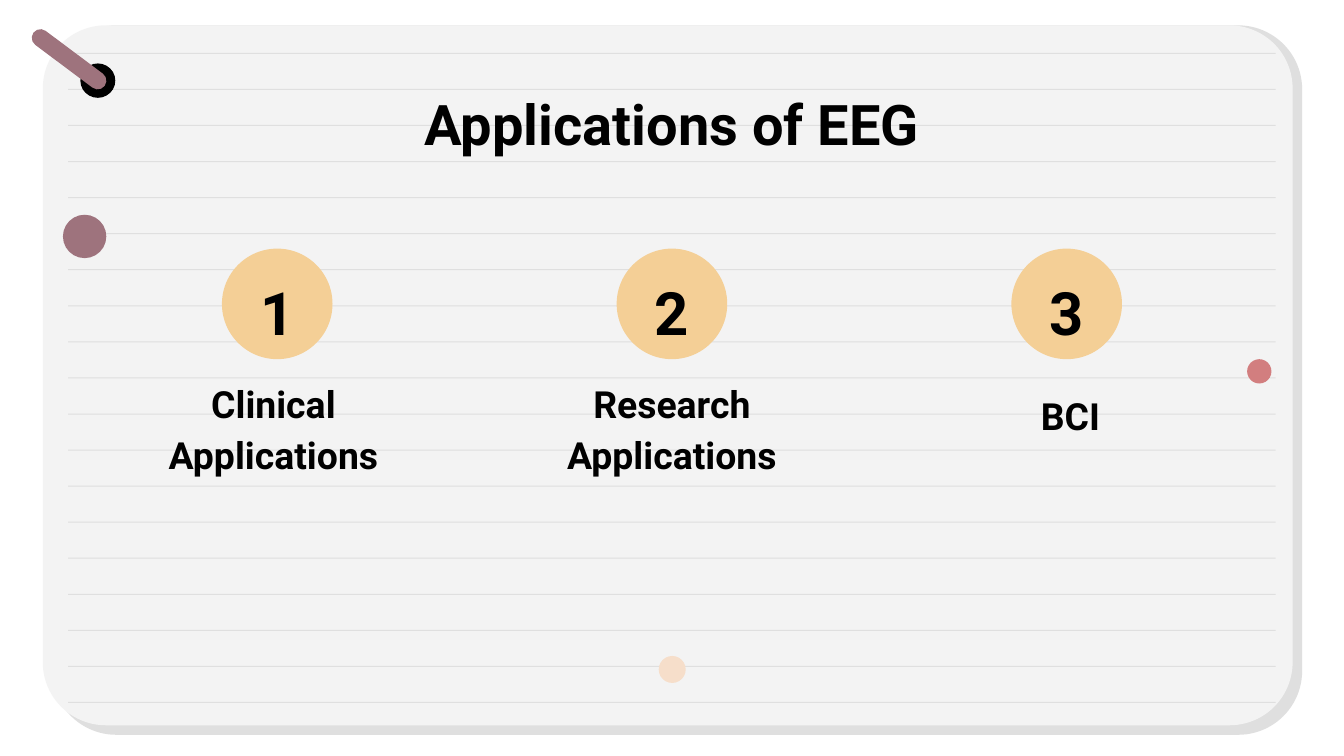
from typing import NamedTuple

from pptx import Presentation
from pptx.dml.color import RGBColor
from pptx.enum import shapes, text
from pptx.util import Cm, Pt

BLACK = RGBColor(0x00, 0x00, 0x00)
PAPER = RGBColor(0xF3, 0xF3, 0xF3)
GREY = RGBColor(0xDF, 0xDF, 0xDF)
MAUVE = RGBColor(0x9E, 0x73, 0x7D)
ROSE = RGBColor(0xD2, 0x7E, 0x7F)
PEACH = RGBColor(0xF6, 0xDE, 0xCA)
AMBER = RGBColor(0xF4, 0xCF, 0x96)

SHAPE = shapes.MSO_SHAPE
ANCHOR = text.MSO_ANCHOR
FONT = "Roboto"
MIDDLE = 12.7  # horizontal centre of the slide, cm


class Box(NamedTuple):
    """Position and size in centimetres."""
    left: float
    top: float
    width: float
    height: float


class Dot(NamedTuple):
    box: Box
    color: RGBColor


class Application(NamedTuple):
    name: str
    caption_top: float


RULE_COUNT, FIRST_RULE, LAST_RULE = 19, 1.0, 13.27
RULE_STEP = (LAST_RULE - FIRST_RULE) / (RULE_COUNT - 1)

DOTS = [
    Dot(Box(1.52, 1.2, 0.66, 0.65), BLACK),
    Dot(Box(23.57, 6.79, 0.46, 0.46), ROSE),
    Dot(Box(1.19, 4.06, 0.82, 0.82), MAUVE),
    Dot(Box(12.45, 12.4, 0.51, 0.51), PEACH),
]

APPLICATIONS = [
    Application("Clinical Applications", 8.23),
    Application("Research Applications", 8.23),
    Application("BCI", 7.49),
]
BADGE_PITCH, CAPTION_PITCH = 7.46, 7.53


def centred(offset: float, top: float, width: float, height: float) -> Box:
    """Box whose centre lies offset cm to the right of the slide's middle."""
    return Box(MIDDLE + offset - width / 2, top, width, height)


def add_filled(s, kind, box: Box, color: RGBColor, adjustments=()):
    sp = s.shapes.add_shape(kind, *map(Cm, box))
    for i, value in enumerate(adjustments):
        sp.adjustments[i] = value
    sp.shadow.inherit = False
    sp.fill.solid()
    sp.fill.fore_color.rgb = color
    sp.line.fill.background()
    return sp


def add_label(s, box: Box, words: str, size: float, anchor, spacing: float = 1.0) -> None:
    tf = s.shapes.add_textbox(*map(Cm, box)).text_frame
    tf.word_wrap = True
    tf.vertical_anchor = anchor
    tf.margin_left = tf.margin_right = tf.margin_top = tf.margin_bottom = Cm(0.25)
    tf.text = words
    p = tf.paragraphs[0]
    p.alignment = text.PP_ALIGN.CENTER
    p.line_spacing = spacing
    font = p.runs[0].font
    font.name, font.size, font.bold = FONT, Pt(size), True
    font.color.rgb = BLACK


def add_notepaper(s) -> None:
    add_filled(s, SHAPE.ROUNDED_RECTANGLE, Box(0.99, 0.48, 23.62, 13.41), GREY, [0.09])
    add_filled(s, SHAPE.ROUNDED_RECTANGLE, Box(0.81, 0.48, 23.62, 13.23), PAPER, [0.09])
    for i in range(RULE_COUNT):
        rule = Box(1.29, FIRST_RULE + i * RULE_STEP, 22.82, 0.02)
        add_filled(s, SHAPE.RECTANGLE, rule, GREY)
    for dot in DOTS:
        add_filled(s, SHAPE.OVAL, dot.box, dot.color)
    pin = add_filled(s, SHAPE.ROUND_2_SAME_RECTANGLE, Box(1.14, 0.28, 0.33, 1.68),
                     MAUVE, [0.5, 0.5])
    pin.rotation = 306.8


def add_application(s, index: int, item: Application) -> None:
    column = index - 1
    badge = column * BADGE_PITCH
    add_label(s, centred(column * CAPTION_PITCH, item.caption_top, 6.5, 1.04),
              item.name, 20, ANCHOR.BOTTOM, 1.15)
    add_filled(s, SHAPE.OVAL, centred(badge, 4.7, 2.09, 2.09), AMBER)
    add_label(s, centred(badge, 5.11, 2.84, 1.35), str(index + 1), 32, ANCHOR.MIDDLE, 1.15)


def main() -> None:
    prs = Presentation()
    prs.slide_width, prs.slide_height = Cm(25.4), Cm(14.29)
    s = prs.slides.add_slide(prs.slide_layouts[6])
    add_notepaper(s)
    add_label(s, centred(0, 1.45, 21.41, 1.6), "Applications of EEG", 30, ANCHOR.TOP)
    for index, item in enumerate(APPLICATIONS):
        add_application(s, index, item)
    prs.save("out.pptx")


if __name__ == "__main__":
    main()
